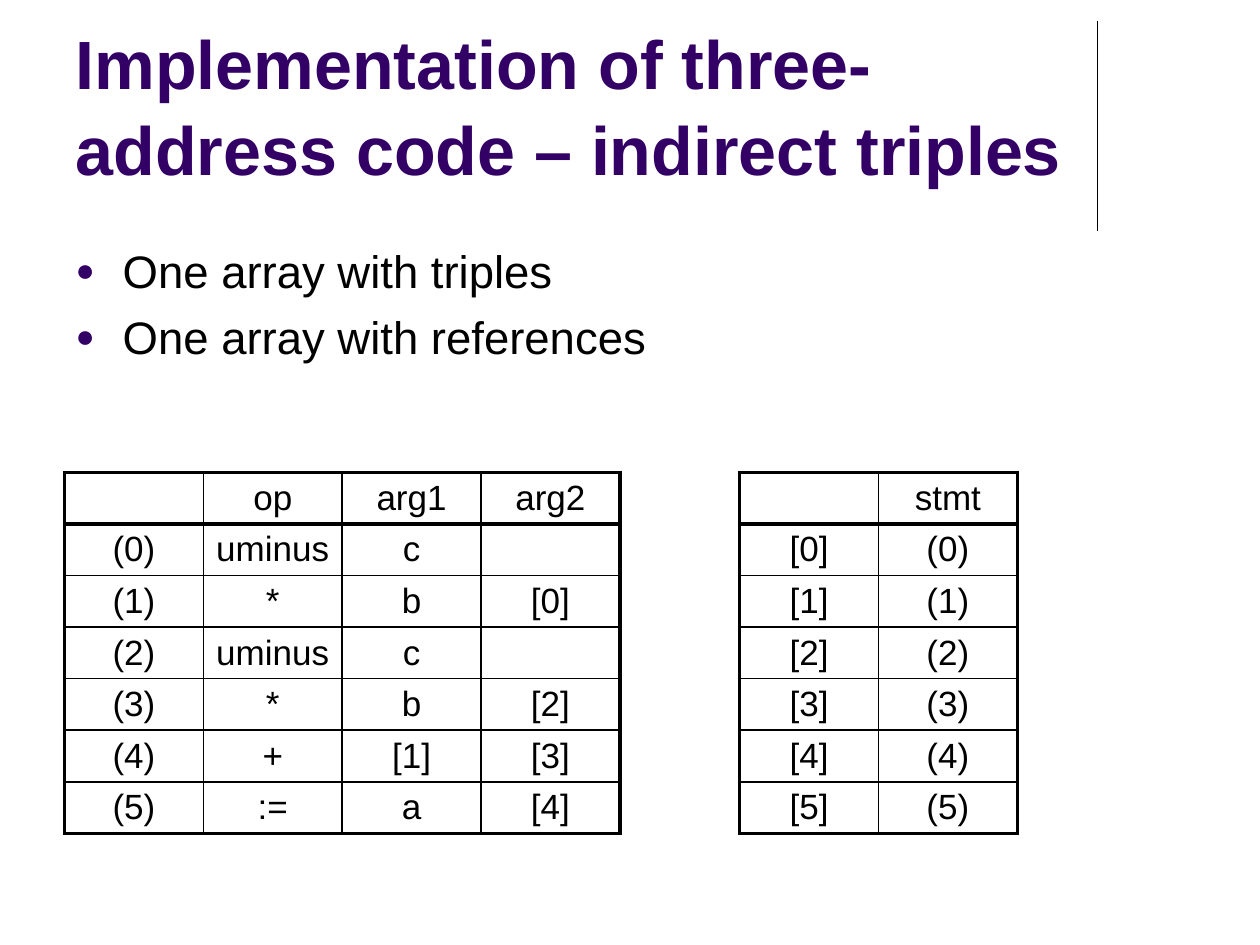
import pptx
import pptx.dml.color
import pptx.enum.shapes
import pptx.enum.text
import pptx.oxml
import pptx.oxml.ns
import pptx.util
from lxml import etree
from pptx.util import Cm

PURPLE = pptx.dml.color.RGBColor(0x33, 0x00, 0x66)
BLACK = pptx.dml.color.RGBColor(0x00, 0x00, 0x00)
FONT = "Arial"
THIN = 1
THICK = 2.25
COLUMN_WIDTH = Cm(2.8)
ROW_HEIGHT = Cm(1.04)
TABLE_TOP = Cm(9.52)

TITLE = "Implementation of three-address code – indirect triples"
POINTS = ["One array with triples", "One array with references"]
TRIPLES = [
    ["", "op", "arg1", "arg2"],
    ["(0)", "uminus", "c", ""],
    ["(1)", "*", "b", "[0]"],
    ["(2)", "uminus", "c", ""],
    ["(3)", "*", "b", "[2]"],
    ["(4)", "+", "[1]", "[3]"],
    ["(5)", ":=", "a", "[4]"],
]
REFERENCES = [["", "stmt"]] + [[f"[{i}]", f"({i})"] for i in range(6)]


def apply_format(target, values):
    for name, value in values.items():
        setattr(target, name, value)


def add_run(paragraph, text, size, color=BLACK, bold=False):
    run = paragraph.add_run()
    run.text = text
    apply_format(run.font, {"name": FONT, "size": pptx.util.Pt(size), "bold": bold})
    run.font.color.rgb = color


def add_element(parent, tag, **attributes):
    return etree.SubElement(parent, pptx.oxml.ns.qn(tag), attributes)


def place_text(shape, left, top, width, height, anchor):
    apply_format(shape, {"left": left, "top": top, "width": width, "height": height})
    apply_format(shape.text_frame, {
        "word_wrap": True,
        "auto_size": pptx.enum.text.MSO_AUTO_SIZE.NONE,
        "vertical_anchor": anchor,
    })


def fill_title(shape):
    place_text(shape, Cm(1.27), Cm(0.33), Cm(20.96), Cm(3.61),
               pptx.enum.text.MSO_ANCHOR.BOTTOM)
    paragraph = shape.text_frame.paragraphs[0]
    apply_format(paragraph, {"alignment": pptx.enum.text.PP_ALIGN.LEFT, "line_spacing": 1.05})
    add_run(paragraph, TITLE, 39, PURPLE, True)


def set_bullet(paragraph):
    properties = paragraph._p.get_or_add_pPr()
    properties.set("marL", str(Cm(0.95)))
    properties.set("indent", str(-Cm(0.95)))
    color = add_element(properties, "a:buClr")
    add_element(color, "a:srgbClr", val=str(PURPLE))
    add_element(properties, "a:buSzPct", val="70000")
    add_element(properties, "a:buFont", typeface=FONT)
    add_element(properties, "a:buChar", char="●")


def fill_list(shape):
    place_text(shape, Cm(1.27), Cm(4.78), Cm(22.43), Cm(3.35),
               pptx.enum.text.MSO_ANCHOR.TOP)
    frame = shape.text_frame
    for index, point in enumerate(POINTS):
        paragraph = frame.add_paragraph() if index else frame.paragraphs[0]
        paragraph.space_before = pptx.util.Pt(6.5)
        set_bullet(paragraph)
        add_run(paragraph, point, 26)


def set_borders(cell, widths):
    properties = cell._tc.get_or_add_tcPr()
    for side, width in widths.items():
        line = add_element(properties, f"a:ln{side}", w=str(pptx.util.Pt(width)))
        fill = add_element(line, "a:solidFill")
        add_element(fill, "a:srgbClr", val=str(BLACK))


def fill_cell(cell, text):
    cell.fill.background()
    apply_format(cell, {
        "margin_top": Cm(0.11),
        "margin_bottom": Cm(0.11),
        "vertical_anchor": pptx.enum.text.MSO_ANCHOR.MIDDLE,
    })
    paragraph = cell.text_frame.paragraphs[0]
    paragraph.alignment = pptx.enum.text.PP_ALIGN.CENTER
    if text:
        add_run(paragraph, text, 20)


def add_grid(slide, left, rows):
    row_count, column_count = len(rows), len(rows[0])
    table = slide.shapes.add_table(
        row_count, column_count, left, TABLE_TOP,
        COLUMN_WIDTH * column_count, ROW_HEIGHT * row_count).table
    apply_format(table, {"first_row": False, "horz_banding": False})
    for r, row in enumerate(rows):
        for c, text in enumerate(row):
            cell = table.cell(r, c)
            set_borders(cell, {
                "L": THICK if c == 0 else THIN,
                "R": THICK if c == column_count - 1 else THIN,
                "T": THICK if r in (0, 1) else THIN,
                "B": THICK if r in (0, row_count - 1) else THIN,
            })
            fill_cell(cell, text)


def add_rule(slide):
    rule = slide.shapes.add_connector(
        pptx.enum.shapes.MSO_CONNECTOR.STRAIGHT,
        Cm(22.12), Cm(0.43), Cm(22.12), Cm(4.65))
    rule.line.color.rgb = BLACK
    rule.line.width = pptx.util.Pt(0.75)
    add_element(rule._element.spPr, "a:effectLst")


def main():
    presentation = pptx.Presentation()
    apply_format(presentation, {"slide_width": Cm(25.4), "slide_height": Cm(19.05)})
    slide = presentation.slides.add_slide(presentation.slide_layouts[1])
    add_rule(slide)
    fill_title(slide.shapes.title)
    fill_list(slide.placeholders[1])
    add_grid(slide, Cm(1.3), TRIPLES)
    add_grid(slide, Cm(14.91), REFERENCES)
    presentation.save("out.pptx")


if __name__ == "__main__":
    main()
